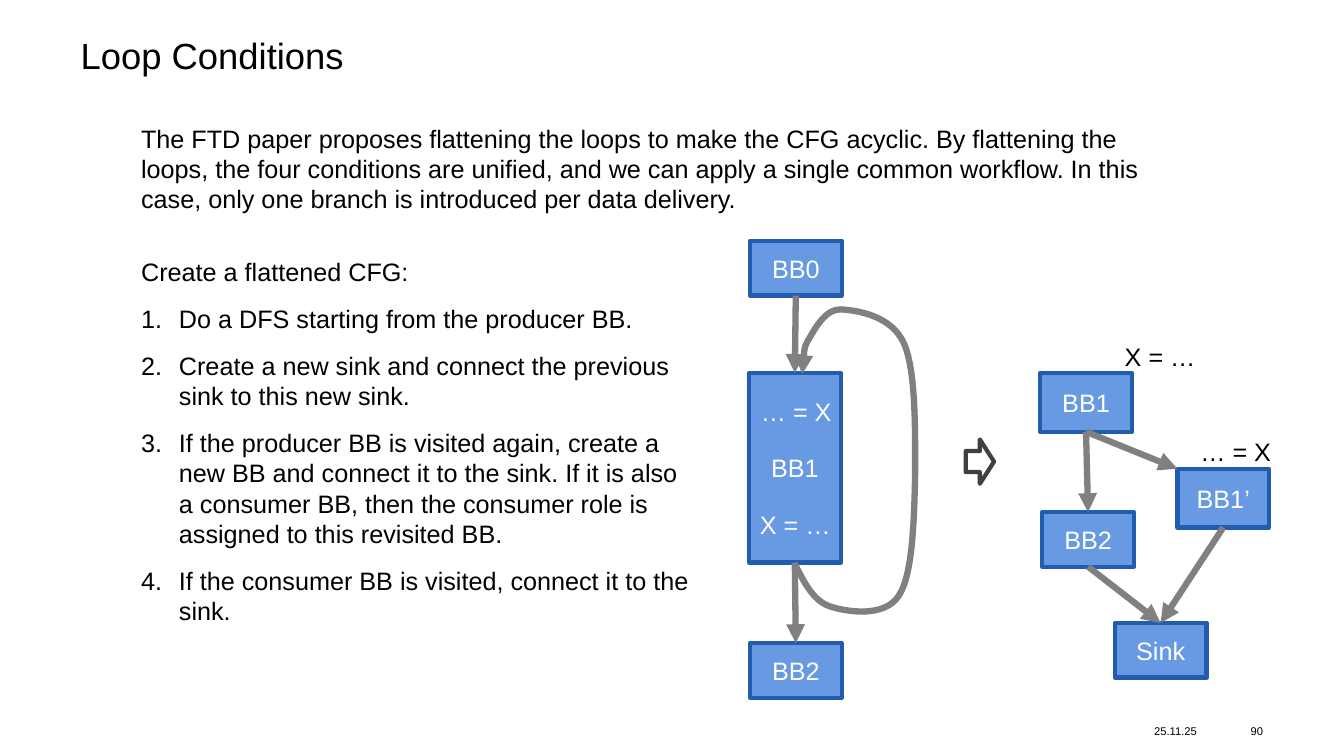
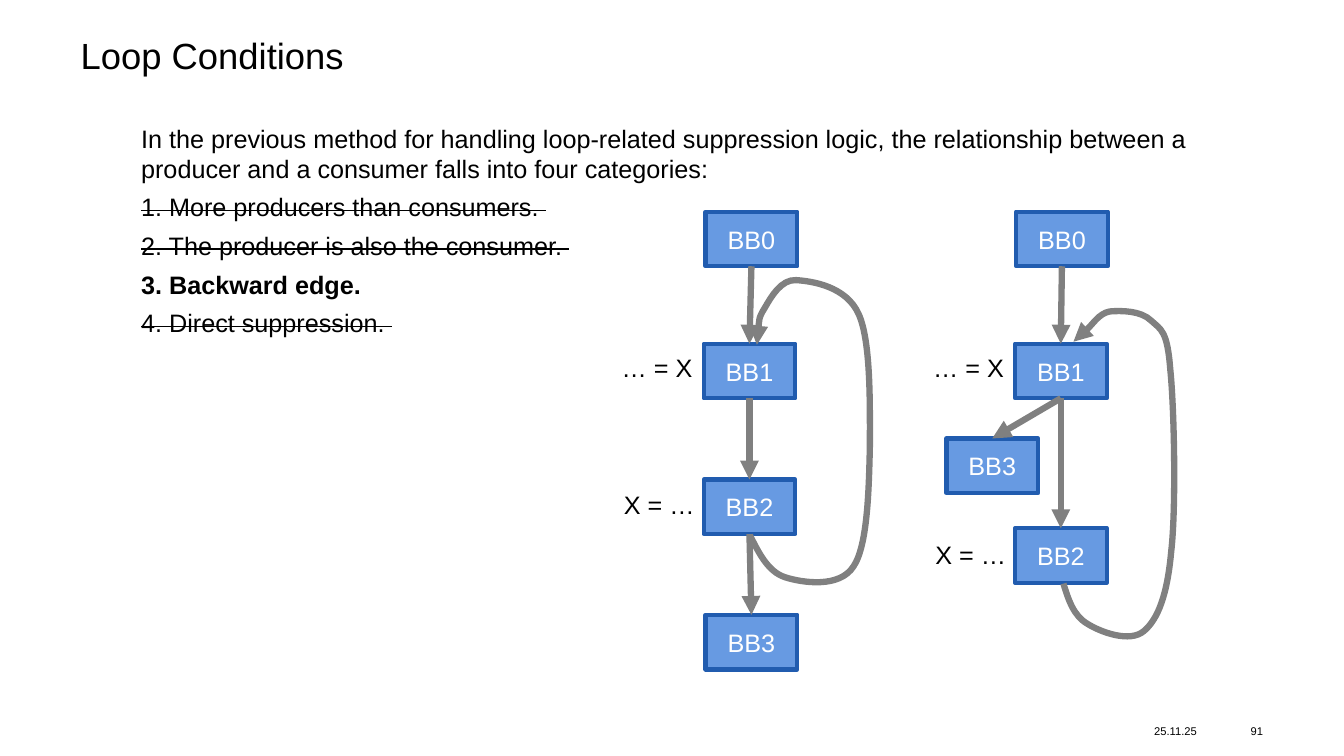
from lxml import etree
from pptx import Presentation
from pptx.dml.color import RGBColor
from pptx.enum.shapes import MSO_CONNECTOR, MSO_SHAPE
from pptx.enum.text import MSO_ANCHOR, MSO_AUTO_SIZE, PP_ALIGN
from pptx.oxml.ns import qn
from pptx.util import Pt

STRAIGHT = MSO_CONNECTOR.STRAIGHT
RECTANGLE, RIGHT_ARROW = MSO_SHAPE.RECTANGLE, MSO_SHAPE.RIGHT_ARROW
TOP, MIDDLE = MSO_ANCHOR.TOP, MSO_ANCHOR.MIDDLE
LEFT, CENTER, RIGHT = PP_ALIGN.LEFT, PP_ALIGN.CENTER, PP_ALIGN.RIGHT
NO_AUTOFIT = MSO_AUTO_SIZE.NONE
TOP_SIDE, BOTTOM_SIDE = 0, 2
TWO_CONTENT, ONE_CONTENT = 3, 1

# Shared style
COLORS = {"text": "000000", "white": "FFFFFF", "block": "679AE2",
          "border": "215CAF", "edge": "808080", "step": "404040"}
FONT = "Arial"
TITLE_SIZE, TEXT_SIZE, FOOTER_SIZE = 26, 18, 8
BLOCK_WIDTH, BLOCK_HEIGHT, TALL_HEIGHT = 65.5, 39, 42
LABEL_HEIGHT = 29
NUMBER_INDENT = 27
TITLE, DATE = "Loop Conditions", "25.11.25"
TITLE_AREA = (57.6, 27.4, 844.6, 27.4)
DATE_AREA = (824.4, 513.4, 48.2, 17.3)
NUMBER_AREA = (877, 513.4, 25.2, 17.3)

# Back edges: cubic control points relative to the start
LONG_LOOP = [
    (6.5, 13), (13, 26), (25, 30), (37.4, 34), (64, 38), (74, 22.3),
    (84.2, 7.2), (85, -33.8), (85.7, -64),
    (85.7, -94.3), (86.4, -138.2), (77.8, -157.7),
    (69, -177.8), (44.6, -181.4), (33, -182.2),
    (22.3, -182.9), (15, -170), (10.8, -162.7),
    (5.8, -154.8), (5.8, -145.4), (5, -136)]
SLIM_LOOP = [
    (3.6, 11.5), (7.2, 23), (17.3, 28.8), (26.6, 34.6), (47.5, 42.5), (57.6, 33.8),
    (67.7, 25.2), (74.2, 7.9), (77, -23),
    (80.6, -54), (79.2, -126), (76.3, -153.4),
    (74.2, -180.7), (69.8, -181.4), (62.6, -187.9),
    (55.4, -195.1), (41, -195.1), (33.1, -194.4),
    (25.2, -193), (20.9, -185), (16.6, -181.4),
    (12.2, -177.8), (9.4, -175.7), (7.2, -172.8)]

# Content; a paragraph is (text, format), a block (label, left, top, height)
SLIDES = [
    {
        "number": "90",
        "layout": TWO_CONTENT,
        "bodies": [
            {"area": (93.6, 84.2, 762.5, 72.7), "gap": 0, "paragraphs": [
                ("The FTD paper proposes flattening the loops to make the CFG acyclic. "
                 "By flattening the loops, the four conditions are unified, and we can "
                 "apply a single common workflow. In this case, only one branch is "
                 "introduced per data delivery.", "plain")]},
            {"area": (93.6, 179.3, 410.4, 273.6), "gap": 12, "paragraphs": [
                ("Create a flattened CFG:", "plain"),
                ("Do a DFS starting from the producer BB.", "numbered"),
                ("Create a new sink and connect the previous sink to this new sink.",
                 "numbered"),
                ("If the producer BB is visited again, create a new BB and connect it "
                 "to the sink. If it is also a consumer BB, then the consumer role is "
                 "assigned to this revisited BB.", "numbered"),
                ("If the consumer BB is visited, connect it to the sink.", "numbered")]},
        ],
        "blocks": {
            "entry": ("BB0", 535.7, 172.1, BLOCK_HEIGHT),
            "loop": ("BB1", 535, 266.4, 135.4),
            "exit": ("BB2", 535.7, 459.4, BLOCK_HEIGHT),
            "producer": ("BB1", 743, 266.4, TALL_HEIGHT),
            "flat exit": ("BB2", 744.5, 365.8, BLOCK_HEIGHT),
            "revisited": ("BB1’", 841, 334.8, TALL_HEIGHT),
            "sink": ("Sink", 796.3, 445, BLOCK_HEIGHT),
        },
        "edges": [("entry", "loop"), ("loop", "exit"), ("producer", "flat exit"),
                  ("producer", (841, 334.8)), ("flat exit", "sink"),
                  ("revisited", "sink")],
        "loops": [((568, 403.2), LONG_LOOP)],
        "labels": [("… = X", 536.4, 279.4, "white"), ("X = …", 535.7, 360, "white"),
                   ("X = …", 796.3, 240.5, "text"), ("… = X", 850.3, 308.2, "text")],
        "step": (689.8, 313.9, 20.2, 31.7),
    },
    {
        "number": "91",
        "layout": ONE_CONTENT,
        "bodies": [
            {"area": (93.6, 84.2, 762.5, 190), "gap": 6, "paragraphs": [
                ("In the previous method for handling loop-related suppression logic, "
                 "the relationship between a producer and a consumer falls into four "
                 "categories:", "plain"),
                ("1. More producers than consumers. ", "struck"),
                ("2. The producer is also the consumer. ", "struck"),
                ("3. Backward edge.", "bold"),
                ("4. Direct suppression. ", "struck")]},
        ],
        "blocks": {
            "entry": ("BB0", 504, 151.2, BLOCK_HEIGHT),
            "consumer": ("BB1", 502.6, 245.5, BLOCK_HEIGHT),
            "producer": ("BB2", 502.6, 342.5, BLOCK_HEIGHT),
            "exit": ("BB3", 504, 439.2, BLOCK_HEIGHT),
            "right entry": ("BB0", 725.8, 151.2, BLOCK_HEIGHT),
            "right consumer": ("BB1", 725, 245.5, BLOCK_HEIGHT),
            "right exit": ("BB3", 676, 313.2, BLOCK_HEIGHT),
            "right producer": ("BB2", 725, 377.3, BLOCK_HEIGHT),
        },
        "edges": [("entry", "consumer"), ("consumer", "producer"), ("producer", "exit"),
                  ("right entry", "right consumer"), ("right consumer", "right producer"),
                  ("right consumer", "right exit")],
        "loops": [((535.7, 382.3), LONG_LOOP), ((759.6, 416.9), SLIM_LOOP)],
        "labels": [("… = X", 437, 248.4, "text"), ("X = …", 438.5, 346.3, "text"),
                   ("… = X", 659.5, 248.4, "text"), ("X = …", 661, 381.6, "text")],
        "step": None,
    },
]


def rgb(name):
    return RGBColor.from_string(COLORS[name])


def points(values):
    return [Pt(value) for value in values]


def place(shape, area):
    for name, value in zip(("left", "top", "width", "height"), points(area)):
        setattr(shape, name, value)


def add_run(paragraph, text, size=TEXT_SIZE, color="text", bold=False):
    run = paragraph.add_run()
    run.text = text
    for name, value in {"name": FONT, "size": Pt(size), "bold": bold}.items():
        setattr(run.font, name, value)
    run.font.color.rgb = rgb(color)
    return run


def format_frame(frame, anchor=TOP, wrap=True, margin=None):
    formats = {"auto_size": NO_AUTOFIT, "vertical_anchor": anchor, "word_wrap": wrap}
    if margin is not None:
        for side in ("left", "right", "top", "bottom"):
            formats["margin_" + side] = Pt(margin)
    for name, value in formats.items():
        setattr(frame, name, value)


def set_line(line, color, width):
    line.color.rgb = rgb(color)
    line.width = Pt(width)


def add_arrowhead(line):
    properties = line._get_or_add_ln()
    etree.SubElement(properties, qn("a:tailEnd"), type="triangle")


# Text parts
def add_text(slide, text, area, size=TEXT_SIZE, color="text", align=LEFT, **frame_format):
    box = slide.shapes.add_textbox(*points(area))
    format_frame(box.text_frame, **frame_format)
    paragraph = box.text_frame.paragraphs[0]
    paragraph.alignment = align
    add_run(paragraph, text, size, color)


def fill_title(slide):
    title = slide.shapes.title
    place(title, TITLE_AREA)
    format_frame(title.text_frame, margin=0)
    paragraph = title.text_frame.paragraphs[0]
    paragraph.alignment = LEFT
    paragraph.line_spacing = 0.9
    add_run(paragraph, TITLE, TITLE_SIZE)


def fill_body(body, content):
    place(body, content["area"])
    frame = body.text_frame
    format_frame(frame)
    for index, (text, style) in enumerate(content["paragraphs"]):
        paragraph = frame.add_paragraph() if index else frame.paragraphs[0]
        paragraph.space_before = Pt(content["gap"] if index else 0)
        properties = paragraph._p.get_or_add_pPr()
        indent = Pt(NUMBER_INDENT) if style == "numbered" else 0
        properties.set("marL", str(indent))
        properties.set("indent", str(-indent))
        if style == "numbered":
            etree.SubElement(properties, qn("a:buFont"), typeface=FONT)
            etree.SubElement(properties, qn("a:buAutoNum"), type="arabicPeriod")
        else:
            etree.SubElement(properties, qn("a:buNone"))
        run = add_run(paragraph, text, bold=style == "bold")
        if style == "struck":
            run._r.get_or_add_rPr().set("strike", "sngStrike")


# Diagram parts
def add_block(slide, label, left, top, height):
    block = slide.shapes.add_shape(RECTANGLE, *points((left, top, BLOCK_WIDTH, height)))
    block.shadow.inherit = False
    block.fill.solid()
    block.fill.fore_color.rgb = rgb("block")
    set_line(block.line, "border", 3)
    format_frame(block.text_frame, anchor=MIDDLE)
    paragraph = block.text_frame.paragraphs[0]
    paragraph.alignment = CENTER
    add_run(paragraph, label, color="white")
    return block


def add_edge(slide, blocks, source, target):
    end = (0, 0) if target in blocks else points(target)
    edge = slide.shapes.add_connector(STRAIGHT, 0, 0, *end)
    edge.begin_connect(blocks[source], BOTTOM_SIDE)
    if target in blocks:
        edge.end_connect(blocks[target], TOP_SIDE)
    set_line(edge.line, "edge", 4.5)
    add_arrowhead(edge.line)
    etree.SubElement(edge._element.spPr, qn("a:effectLst"))


def add_loop(slide, start, controls):
    x, y = start
    builder = slide.shapes.build_freeform(Pt(x), Pt(y))
    builder.add_line_segments([(Pt(x + dx), Pt(y + dy)) for dx, dy in controls], close=False)
    loop = builder.convert_to_shape()
    # Every three vertices become one cubic curve
    segments = list(loop._element.iter(qn("a:lnTo")))
    outline = segments[0].getparent()
    for first in range(0, len(segments), 3):
        curve = etree.SubElement(outline, qn("a:cubicBezTo"))
        for segment in segments[first:first + 3]:
            curve.append(segment[0])
            outline.remove(segment)
    loop.shadow.inherit = False
    loop.fill.background()
    set_line(loop.line, "edge", 4.5)
    add_arrowhead(loop.line)


def add_step_arrow(slide, area):
    arrow = slide.shapes.add_shape(RIGHT_ARROW, *points(area))
    arrow.adjustments[0], arrow.adjustments[1] = 0.474, 0.5
    arrow.shadow.inherit = False
    arrow.fill.background()
    set_line(arrow.line, "step", 3)


def build_slide(presentation, content):
    slide = presentation.slides.add_slide(presentation.slide_layouts[content["layout"]])
    fill_title(slide)
    for index, body in enumerate(content["bodies"], start=1):
        fill_body(slide.placeholders[index], body)
    blocks = {name: add_block(slide, *block) for name, block in content["blocks"].items()}
    for source, target in content["edges"]:
        add_edge(slide, blocks, source, target)
    for start, controls in content["loops"]:
        add_loop(slide, start, controls)
    for text, left, top, color in content["labels"]:
        add_text(slide, text, (left, top, BLOCK_WIDTH, LABEL_HEIGHT), color=color, wrap=False)
    if content["step"]:
        add_step_arrow(slide, content["step"])
    footer = {"size": FOOTER_SIZE, "anchor": MIDDLE, "margin": 0}
    add_text(slide, DATE, DATE_AREA, **footer)
    add_text(slide, content["number"], NUMBER_AREA, align=RIGHT, **footer)


def main():
    presentation = Presentation()
    presentation.slide_width, presentation.slide_height = Pt(960), Pt(540)
    for content in SLIDES:
        build_slide(presentation, content)
    presentation.save("out.pptx")


if __name__ == "__main__":
    main()
